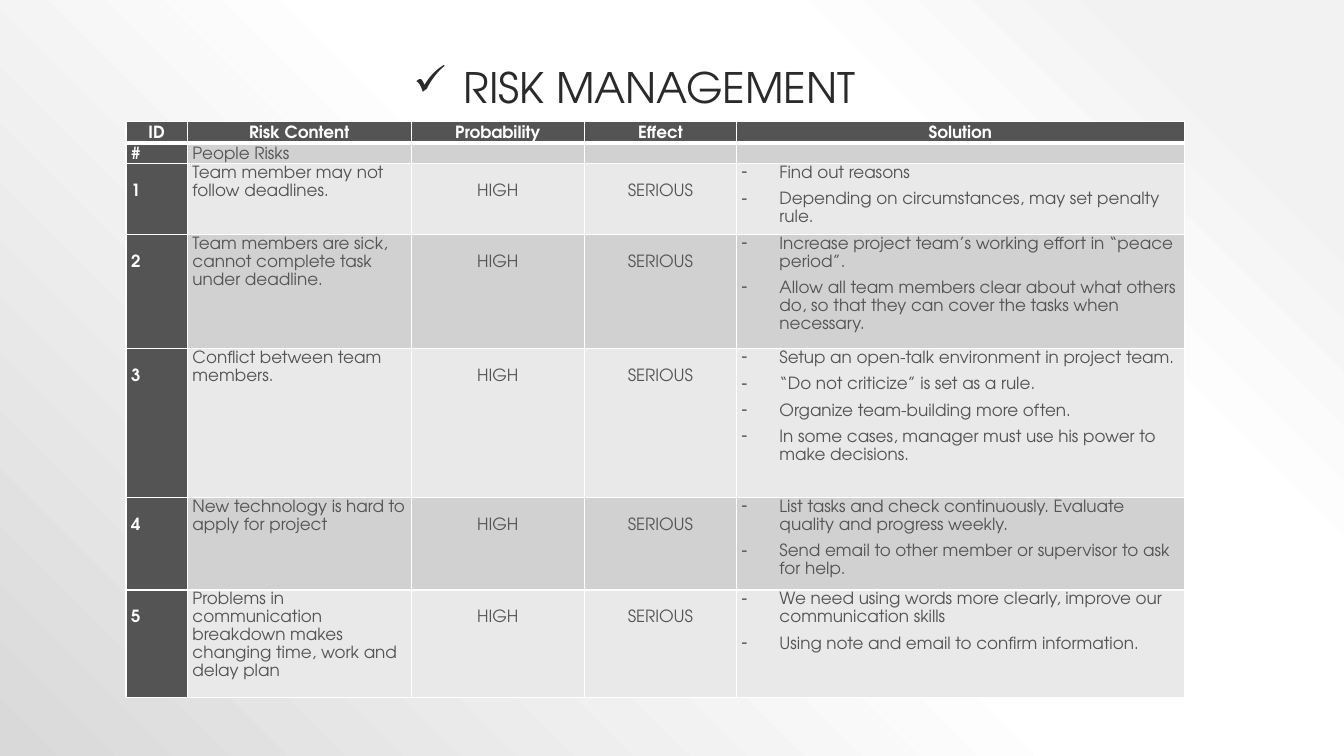
from copy import deepcopy

from lxml import etree
from pptx import Presentation
from pptx.dml.color import RGBColor
from pptx.enum.text import MSO_ANCHOR, MSO_AUTO_SIZE, PP_ALIGN
from pptx.oxml import parse_xml
from pptx.oxml.ns import nsdecls, qn
from pptx.util import Pt

LEFT, CENTER, JUSTIFY = PP_ALIGN.LEFT, PP_ALIGN.CENTER, PP_ALIGN.JUSTIFY
TOP, MIDDLE, BOTTOM = MSO_ANCHOR.TOP, MSO_ANCHOR.MIDDLE, MSO_ANCHOR.BOTTOM
TITLE_ONLY = 5

DARK, LIGHT_BAND, DARK_BAND, WHITE, TITLE_COLOR = "545454", "E9E9E9", "D1D1D1", "FFFFFF", "2A2A2A"
BACKGROUND_STOPS = [(10, "F2F2F2"), (28, "FFFFFF"), (48, "FFFFFF"), (100, "D9D9D9")]

COLUMN_WIDTHS = [43.9, 159.8, 123.8, 108.7, 319.7]
ROW_HEIGHTS = [15, 15, 50.5, 81.5, 106.5, 66, 76.5]
HEADERS = ["ID", "Risk Content", "Probability", "Effect", "Solution"]
SECTION = ["#", "People Risks", "", "", ""]
RISKS = [
    ("Team member may not follow deadlines.",
     ["Find out reasons",
      "Depending on circumstances, may set penalty rule."]),
    ("Team members are sick, cannot complete task under deadline.",
     ["Increase project team’s working effort in “peace period”.",
      "Allow all team members clear about what others do, so that they can cover "
      "the tasks when necessary."]),
    ("Conflict between team members.",
     ["Setup an open-talk environment in project team.",
      "“Do not criticize” is set as a rule.",
      "Organize team-building more often.",
      "In some cases, manager must use his power to make decisions."]),
    ("New technology is hard to apply for project",
     ["List tasks and check continuously. Evaluate quality and progress weekly.",
      "Send email to other member or supervisor to ask for help."]),
    ("Problems in communication breakdown makes changing time, work and delay plan",
     ["We need using words more clearly, improve our communication skills",
      "Using note and email to confirm information."]),
]


def rgb(color):
    return RGBColor.from_string(color)


class SlideBuilder:
    font_name = "TeX Gyre Adventor"
    body_size = 12
    title_size = 30

    def __init__(self, slide):
        self.slide = slide

    def background(self, stops):
        """Fill the slide with a radial gradient centred on the top right corner."""
        stop_xml = "".join(
            f'<a:gs pos="{position * 1000}"><a:srgbClr val="{color}"/></a:gs>'
            for position, color in stops)
        self.slide.element.cSld.insert(0, parse_xml(
            f'<p:bg {nsdecls("p", "a")}><p:bgPr><a:gradFill rotWithShape="1">'
            f'<a:gsLst>{stop_xml}</a:gsLst><a:path path="circle">'
            '<a:fillToRect l="100000" b="100000"/></a:path></a:gradFill>'
            '<a:effectLst/></p:bgPr></p:bg>'))

    def add_run(self, paragraph, text, size, color, bold=False):
        run = paragraph.add_run()
        run.text = text
        run.font.name = self.font_name
        run.font.size = Pt(size)
        run.font.bold = bold
        run.font.color.rgb = rgb(color)
        return run

    def add_bullet(self, paragraph, character, indent):
        properties = paragraph._p.get_or_add_pPr()
        properties.set("marL", str(Pt(indent)))
        properties.set("indent", str(-Pt(indent)))
        etree.SubElement(properties, qn("a:buChar"), char=character)

    def title(self, text, left, top, width, height):
        title = self.slide.shapes.title
        title.left, title.top, title.width, title.height = map(Pt, (left, top, width, height))
        frame = title.text_frame
        frame.word_wrap = True
        frame.auto_size = MSO_AUTO_SIZE.NONE
        frame.vertical_anchor = BOTTOM
        paragraph = frame.paragraphs[0]
        self.add_bullet(paragraph, "✓", 36)
        paragraph.alignment = LEFT
        paragraph.line_spacing = 0.9
        self.add_run(paragraph, text, self.title_size, TITLE_COLOR)

    def table(self, left, top, widths, heights):
        table = self.slide.shapes.add_table(
            len(heights), len(widths), Pt(left), Pt(top),
            Pt(sum(widths)), Pt(sum(heights))).table
        for column, width in zip(table.columns, widths):
            column.width = Pt(width)
        for row, height in zip(table.rows, heights):
            row.height = Pt(height)
        return table

    def cell(self, cell, texts, fill, color=DARK, bold=False, align=LEFT,
             anchor=TOP, bullet=None, drop=False, bottom_line=1):
        """Style a cell and write one paragraph per text; drop starts a line lower."""
        cell.margin_left = cell.margin_right = Pt(3.6)
        cell.margin_top = cell.margin_bottom = 0
        cell.vertical_anchor = anchor
        self.borders(cell, bottom_line)
        cell.fill.solid()
        cell.fill.fore_color.rgb = rgb(fill)
        frame = cell.text_frame
        for index, text in enumerate(texts):
            paragraph = frame.add_paragraph() if index else frame.paragraphs[0]
            if bullet:
                self.add_bullet(paragraph, bullet, 27)
            paragraph.alignment = align
            paragraph.line_spacing = 1.15
            paragraph.space_after = Pt(6)
            if not text:
                etree.SubElement(paragraph._p, qn("a:endParaRPr"), sz=str(self.body_size * 100))
                continue
            if drop:
                paragraph.add_line_break()
            run = self.add_run(paragraph, text, self.body_size, color, bold)
            if drop:
                paragraph._p.find(qn("a:br")).append(deepcopy(run.font._element))

    def borders(self, cell, bottom_line):
        properties = cell._tc.get_or_add_tcPr()
        for side, width in (("L", 1), ("R", 1), ("T", 1), ("B", bottom_line)):
            properties.append(parse_xml(
                f'<a:ln{side} {nsdecls("a")} w="{Pt(width)}"><a:solidFill>'
                f'<a:srgbClr val="{WHITE}"/></a:solidFill></a:ln{side}>'))


def main():
    presentation = Presentation()
    presentation.slide_width, presentation.slide_height = Pt(960), Pt(540)
    slide = presentation.slides.add_slide(presentation.slide_layouts[TITLE_ONLY])
    builder = SlideBuilder(slide)
    builder.background(BACKGROUND_STOPS)
    table = builder.table(90, 87, COLUMN_WIDTHS, ROW_HEIGHTS)

    for column, header in enumerate(HEADERS):
        builder.cell(table.cell(0, column), [header], DARK, WHITE, True, CENTER,
                     MIDDLE, bottom_line=3)
    for column, text in enumerate(SECTION):
        is_id = column == 0
        builder.cell(table.cell(1, column), [text], DARK if is_id else DARK_BAND,
                     WHITE if is_id else DARK, is_id, JUSTIFY, MIDDLE)
    for number, (risk, solutions) in enumerate(RISKS, start=1):
        row = number + 1
        band = LIGHT_BAND if number % 2 else DARK_BAND
        builder.cell(table.cell(row, 0), [str(number)], DARK, WHITE, True, JUSTIFY, drop=True)
        builder.cell(table.cell(row, 1), [risk], band)
        builder.cell(table.cell(row, 2), ["HIGH"], band, align=CENTER, drop=True)
        builder.cell(table.cell(row, 3), ["SERIOUS"], band, align=CENTER, drop=True)
        builder.cell(table.cell(row, 4), solutions, band, bullet="-")

    builder.title("RISK MANAGEMENT", 288, 24, 618, 60)
    presentation.save("out.pptx")


if __name__ == "__main__":
    main()
